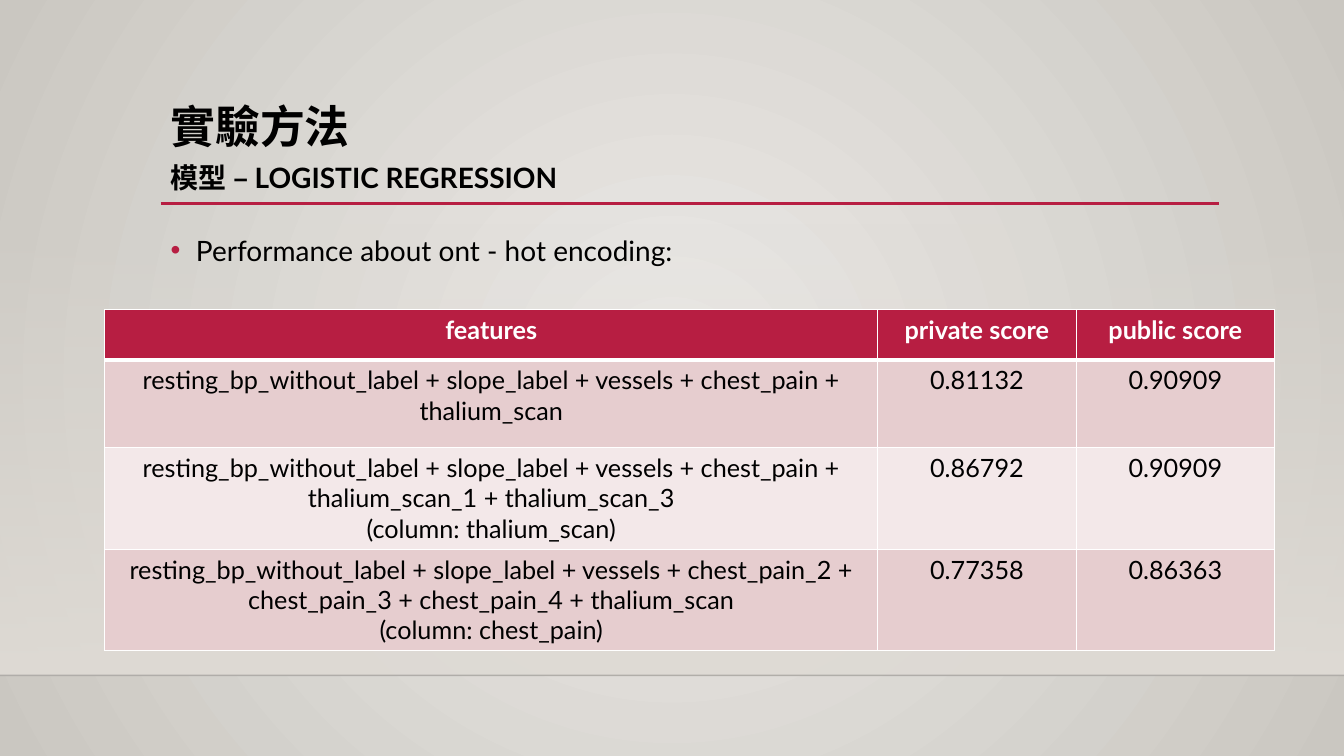
from dataclasses import dataclass

from lxml.etree import SubElement
from pptx import Presentation
from pptx.dml.color import RGBColor
from pptx.dml.fill import FillFormat
from pptx.enum.shapes import MSO_CONNECTOR, MSO_SHAPE
from pptx.enum.text import MSO_ANCHOR, PP_ALIGN
from pptx.oxml.ns import qn
from pptx.slide import Slide
from pptx.table import _Cell
from pptx.text.text import TextFrame, _Paragraph
from pptx.util import Cm, Pt

FONT = "Lato"
CRIMSON, BLACK, WHITE = "B71E42", "000000", "FFFFFF"
ROW_FILLS = ("E6CDCF", "F3E8E9")
SLIDE_WIDTH, SLIDE_HEIGHT = 33.87, 19.05
CONTENT_LEFT, CONTENT_WIDTH = 4.05, 26.67
FLOOR_TOP = 17.02
COLUMN_WIDTHS = (19.48, 5, 5)
HEADINGS = ("features", "private score", "public score")
HEADER_HEIGHT = 1.27


@dataclass
class Result:
    features: str
    private_score: str
    public_score: str
    height: float


@dataclass
class Rule:
    left: float
    right: float
    top: float
    color: str
    weight: float
    opacity: int = 100


RESULTS = (
    Result("resting_bp_without_label + slope_label + vessels + chest_pain + thalium_scan",
           "0.81132", "0.90909", 2.21),
    Result("resting_bp_without_label + slope_label + vessels + chest_pain + "
           "thalium_scan_1 + thalium_scan_3\n(column: thalium_scan)",
           "0.86792", "0.90909", 2.56),
    Result("resting_bp_without_label + slope_label + vessels + chest_pain_2 + "
           "chest_pain_3 + chest_pain_4 + thalium_scan\n(column: chest_pain)",
           "0.77358", "0.86363", 2.56),
)
RULES = (
    Rule(0, SLIDE_WIDTH, FLOOR_TOP, "000001", 1, 20),
    Rule(CONTENT_LEFT, 30.73, 5.13, CRIMSON, 2.5),
)


def rgb(color: str) -> RGBColor:
    return RGBColor.from_string(color)


def set_gradient(fill: FillFormat, start: str, end: str) -> None:
    fill.gradient()
    for stop, color in zip(fill.gradient_stops, (start, end)):
        stop.color.rgb = rgb(color)


def set_opacity(color_element, percent: int) -> None:
    SubElement(color_element, qn("a:alpha"), val=str(percent * 1000))


def paint_background(slide: Slide) -> None:
    set_gradient(slide.background.fill, "ECEAE7", "CAC7C1")
    gradient = slide.element.xpath(".//p:bg//a:gradFill")[0]
    gradient.remove(gradient.find(qn("a:lin")))
    circle = SubElement(gradient, qn("a:path"), path="circle")
    SubElement(circle, qn("a:fillToRect"), l="50000", t="50000", r="50000", b="50000")


def add_wall_shade(slide: Slide) -> None:
    top = 5.61
    shade = slide.shapes.add_shape(MSO_SHAPE.RECTANGLE, Cm(0), Cm(top),
                                   Cm(SLIDE_WIDTH), Cm(FLOOR_TOP - top))
    shade.shadow.inherit = False
    shade.line.fill.background()
    set_gradient(shade.fill, "DFDBD5", "DFDBD5")
    shade.fill.gradient_angle = 270
    set_opacity(shade.element.xpath(".//a:gs/a:srgbClr")[0], 0)


def add_rule(slide: Slide, rule: Rule) -> None:
    line = slide.shapes.add_connector(MSO_CONNECTOR.STRAIGHT, Cm(rule.left), Cm(rule.top),
                                      Cm(rule.right), Cm(rule.top))
    line.line.color.rgb = rgb(rule.color)
    line.line.width = Pt(rule.weight)
    if rule.opacity < 100:
        set_opacity(line.element.xpath(".//a:ln//a:srgbClr")[0], rule.opacity)
    SubElement(line.element.spPr, qn("a:effectLst"))


def format_runs(paragraph: _Paragraph, size: float, color: str = BLACK,
                bold: bool = False) -> None:
    for run in paragraph.runs:
        run.font.name = FONT
        run.font.size = Pt(size)
        run.font.bold = bold
        run.font.color.rgb = rgb(color)


def add_content_text(slide: Slide, top: float, height: float, text: str) -> TextFrame:
    box = slide.shapes.add_textbox(Cm(CONTENT_LEFT), Cm(top), Cm(CONTENT_WIDTH), Cm(height))
    frame = box.text_frame
    frame.word_wrap = True
    frame.text = text
    return frame


def add_title(slide: Slide) -> None:
    frame = add_content_text(slide, 2.24, 2.92, "實驗方法\n模型 – LOGISTIC REGRESSION")
    frame.vertical_anchor = MSO_ANCHOR.BOTTOM
    frame.margin_bottom = Cm(0.25)
    heading, model = frame.paragraphs
    for paragraph, size in ((heading, 32), (model, 20)):
        paragraph.line_spacing = 0.9
        format_runs(paragraph, size, bold=True)
    model.space_before = Pt(8)


def add_bullet(slide: Slide) -> None:
    frame = add_content_text(slide, 5.59, 9.58, "Performance about ont - hot encoding:")
    paragraph = frame.paragraphs[0]
    paragraph.line_spacing = 1.2
    paragraph.space_before = Pt(10)
    format_runs(paragraph, 20)
    properties = paragraph._p.get_or_add_pPr()
    indent = Cm(0.64)
    properties.set("marL", str(indent))
    properties.set("indent", str(-indent))
    bullet_color = SubElement(properties, qn("a:buClr"))
    SubElement(bullet_color, qn("a:srgbClr"), val=CRIMSON)
    SubElement(properties, qn("a:buFont"), typeface="Arial")
    SubElement(properties, qn("a:buChar"), char="•")


def set_borders(cell: _Cell, top: float, bottom: float) -> None:
    properties = cell._tc.get_or_add_tcPr()
    for side, weight in (("L", 1), ("R", 1), ("T", top), ("B", bottom)):
        border = SubElement(properties, qn(f"a:ln{side}"), w=str(Pt(weight)))
        fill = SubElement(border, qn("a:solidFill"))
        SubElement(fill, qn("a:srgbClr"), val=WHITE)


def add_results_table(slide: Slide) -> None:
    rows = [HEADINGS] + [(r.features, r.private_score, r.public_score) for r in RESULTS]
    heights = [HEADER_HEIGHT] + [r.height for r in RESULTS]
    table = slide.shapes.add_table(len(rows), len(HEADINGS), Cm(2.64), Cm(7.8),
                                   Cm(sum(COLUMN_WIDTHS)), Cm(sum(heights))).table
    for column, width in zip(table.columns, COLUMN_WIDTHS):
        column.width = Cm(width)
    for row_number, (texts, height) in enumerate(zip(rows, heights)):
        table.rows[row_number].height = Cm(height)
        is_header = row_number == 0
        for column_number, text in enumerate(texts):
            cell = table.cell(row_number, column_number)
            set_borders(cell, top=3 if row_number == 1 else 1, bottom=3 if is_header else 1)
            cell.fill.solid()
            cell.fill.fore_color.rgb = rgb(
                CRIMSON if is_header else ROW_FILLS[(row_number - 1) % 2])
            cell.text_frame.text = text
            for paragraph in cell.text_frame.paragraphs:
                paragraph.alignment = PP_ALIGN.CENTER
                format_runs(paragraph, 18, WHITE if is_header else BLACK, is_header)


def main() -> None:
    presentation = Presentation()
    presentation.slide_width = Cm(SLIDE_WIDTH)
    presentation.slide_height = Cm(SLIDE_HEIGHT)
    slide = presentation.slides.add_slide(presentation.slide_layouts[6])
    paint_background(slide)
    add_wall_shade(slide)
    for rule in RULES:
        add_rule(slide, rule)
    add_title(slide)
    add_bullet(slide)
    add_results_table(slide)
    presentation.save("out.pptx")


if __name__ == "__main__":
    main()
